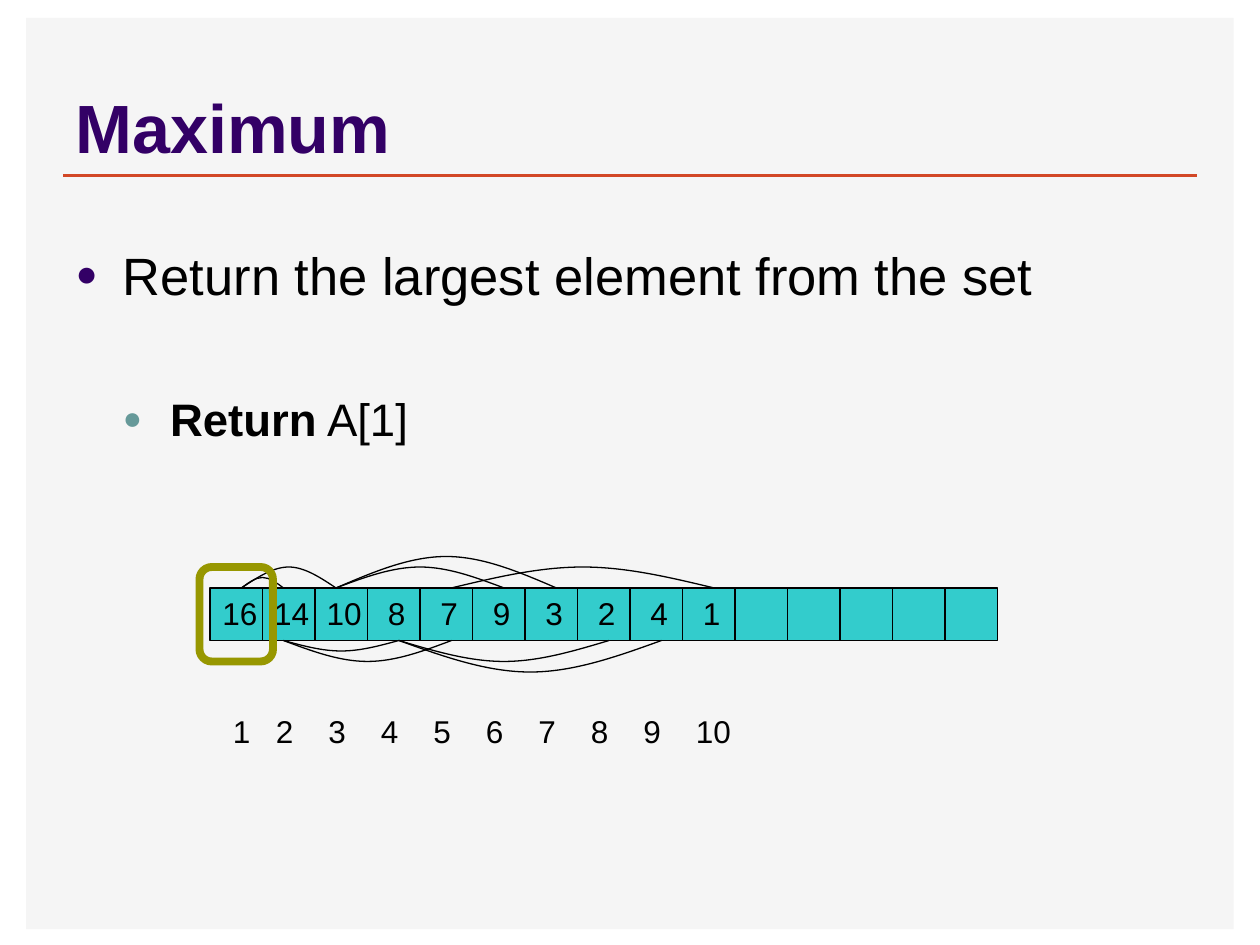
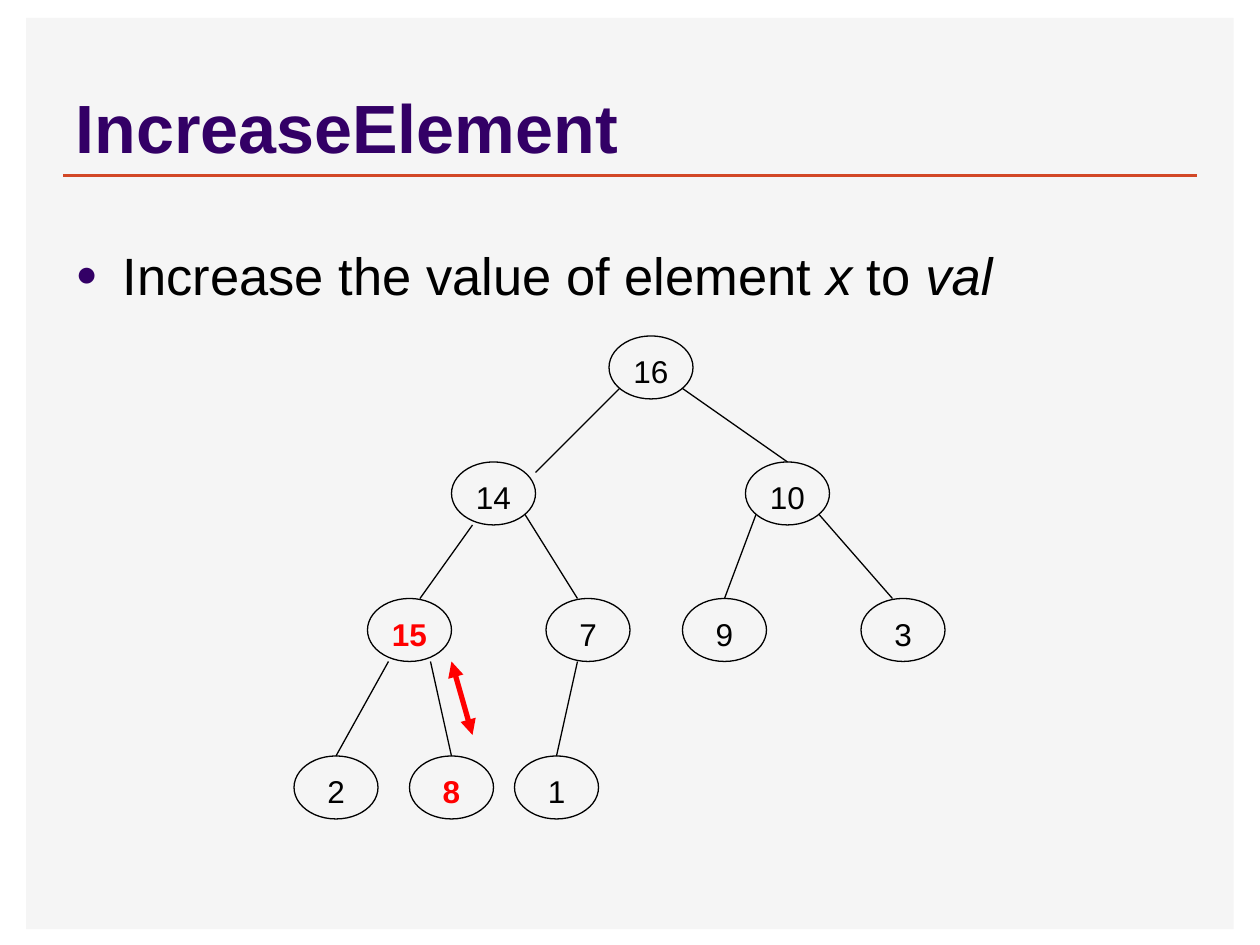
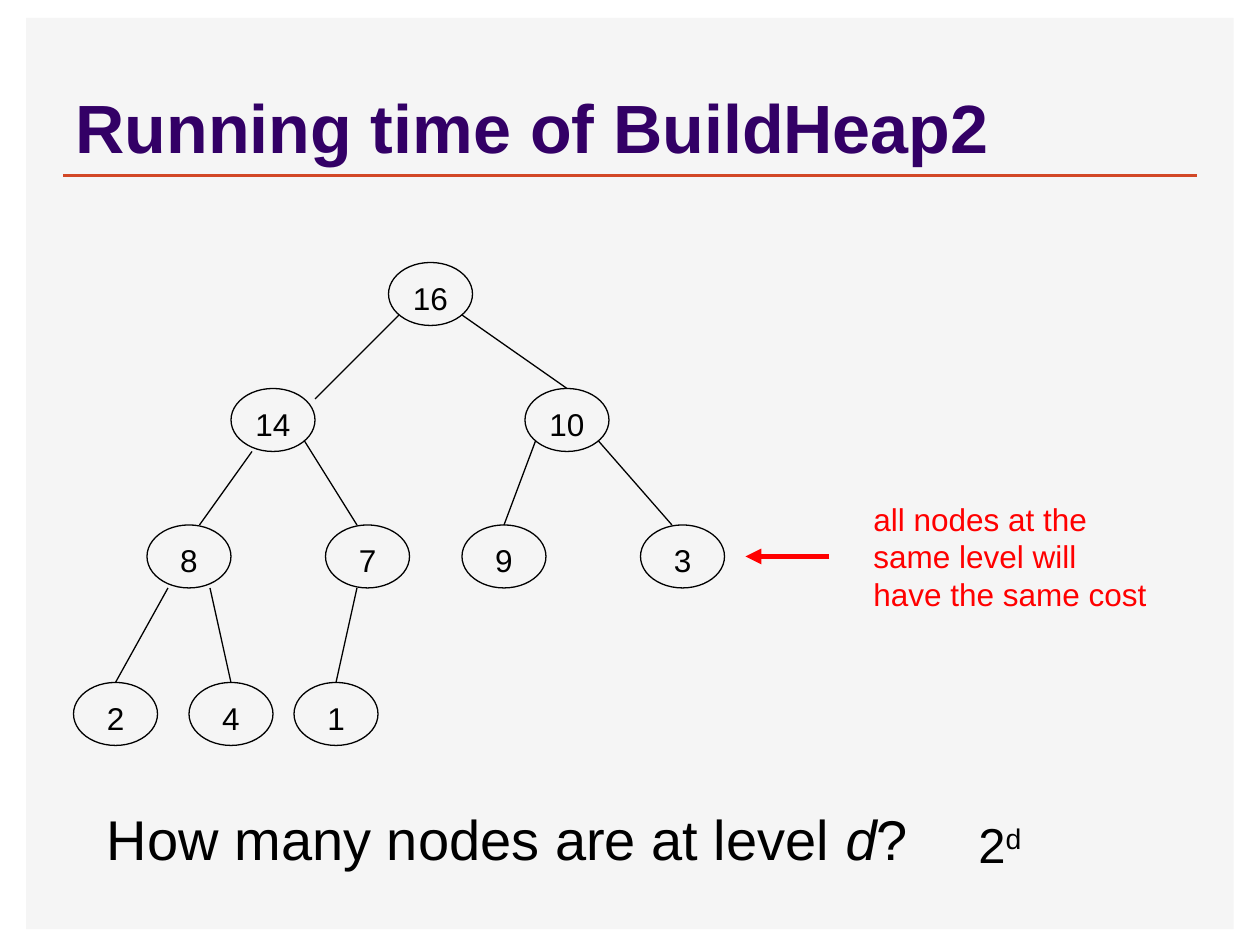
from lxml import etree
from pptx import Presentation
from pptx import util as u
from pptx.dml.color import RGBColor
from pptx.enum import shapes, text
from pptx.oxml.ns import qn

INK, RED, TITLE, RULE, PANEL = "000000", "FF0000", "330066", "D24726", "F5F5F5"
CELL, RING, SUB = "33CCCC", "979700", "669999"
RECT, ROUND, OVAL = (shapes.MSO_SHAPE.RECTANGLE, shapes.MSO_SHAPE.ROUNDED_RECTANGLE,
                     shapes.MSO_SHAPE.OVAL)
rgb = RGBColor.from_string

prs = Presentation()
prs.slide_width, prs.slide_height = u.Inches(10), u.Inches(7.5)
G = prs.slide_width // 120


def grid(*cells):
    return [u.Emu(int(c * G)) for c in cells]


def write(p, runs, size, color=INK, **base):
    for words, own in runs:
        r = p.add_run()
        r.text = words
        values = {"name": "Arial", "size": u.Pt(size), **base, **own}
        for key, value in values.items():
            setattr(r.font, key, value)
        r.font.color.rgb = rgb(color)


plain, italic = {}, {"italic": True}
pages = [
    ("Maximum", 57.8, [
        (0, 0, 30, TITLE, [("Return the largest element from the set", plain)]),
        (1, 49, 26, SUB, [("Return", {"bold": True}), (" A[1]", plain)])]),
    ("IncreaseElement", 7.5, [
        (0, 0, 30, TITLE, [("Increase the value of element ", plain), ("x", italic),
                           (" to ", plain), ("val", italic)])]),
    ("Running time of BuildHeap2", 0, []),
]
slides = []
for title, rows, items in pages:
    s = prs.slides.add_slide(prs.slide_layouts[1 if items else 5])
    slides.append(s)
    sp = s.shapes.title
    sp.left, sp.top, sp.width, sp.height = grid(6, 1.5, 108, 15)
    tf = sp.text_frame
    tf.auto_size = text.MSO_AUTO_SIZE.NONE
    tf.vertical_anchor = text.MSO_ANCHOR.BOTTOM
    p = tf.paragraphs[0]
    p.alignment = text.PP_ALIGN.LEFT
    write(p, [(title, plain)], 39, TITLE, bold=True)
    if not items:
        continue
    sp = s.placeholders[1]
    sp.left, sp.top, sp.width, sp.height = grid(6, 22.5, 108, rows)
    tf = sp.text_frame
    tf.auto_size = text.MSO_AUTO_SIZE.NONE
    for i, (level, space, size, color, runs) in enumerate(items):
        p = tf.add_paragraph() if i else tf.paragraphs[0]
        p.level = level
        p.space_before = u.Pt(space)
        pPr = p._p.get_or_add_pPr()
        indent = int(4.5 * G)
        pPr.set("marL", str(indent * (level + 1)))
        pPr.set("indent", str(-indent))
        clr = etree.SubElement(pPr, qn("a:buClr"))
        etree.SubElement(clr, qn("a:srgbClr"), val=color)
        etree.SubElement(pPr, qn("a:buSzPct"), val="70000")
        etree.SubElement(pPr, qn("a:buChar"), char="●")
        write(p, runs, size)
maximum, increase, running = slides

boxes = [
    (maximum, RECT, (2.5, 1.7, 115, 86.8), PANEL, None, 0, "", INK),
    (maximum, RECT, (20, 56, 75, 5), CELL, INK, 0.75, "", INK),
    (maximum, ROUND, (19, 54, 7, 9), None, RING, 4.5, "", INK),
]
lines = [(maximum, (6, 16.7, 114, 16.7), RULE, 2, [])]
lines += [(maximum, (x, 56, x, 61), INK, 0.75, []) for x in range(25, 95, 5)]

places = [(0, 0), (-15, 12), (13, 12), (-23, 25), (-6, 25), (7, 25), (24, 25),
          (-30, 40), (-19, 40), (-9, 40)]
edges = [(1, 5, -7, 13), (7, 5, 17, 12), (-13, 18, -18, 25), (-8, 17, -3, 25),
         (14, 17, 11, 25), (20, 17, 27, 25), (-21, 31, -26, 40), (-17, 31, -15, 40),
         (-3, 31, -5, 40)]
trees = [(increase, 58, 32, "16 14 10 15 7 9 3 2 8 1", ("15", "8")),
         (running, 37, 25, "16 14 10 8 7 9 3 2 4 1", ())]
for s, x, y, labels, swapped in trees:
    for (dx, dy), label in zip(places, labels.split()):
        color = RED if label in swapped else INK
        boxes.append((s, OVAL, (x + dx, y + dy, 8, 6), None, INK, 0.75, label, color))
    for x1, y1, x2, y2 in edges:
        lines.append((s, (x + x1, y + y1, x + x2, y + y2), INK, 0.75, []))
lines += [(increase, (45, 70, 43, 63), RED, 3, ["a:headEnd", "a:tailEnd"]),
          (running, (79, 53, 71, 53), RED, 3, ["a:tailEnd"])]

drawn = []
for s, kind, at, fill, line, width, label, color in boxes:
    sp = s.shapes.add_shape(kind, *grid(*at))
    drawn.append(sp)
    sp.shadow.inherit = False
    if fill:
        sp.fill.solid()
        sp.fill.fore_color.rgb = rgb(fill)
    else:
        sp.fill.background()
    if line:
        sp.line.color.rgb = rgb(line)
        sp.line.width = u.Pt(width)
    else:
        sp.line.fill.background()
    if label:
        tf = sp.text_frame
        layout = {"margin_left": 0, "margin_right": 0, "margin_bottom": 0,
                  "margin_top": grid(0.7)[0], "vertical_anchor": text.MSO_ANCHOR.TOP}
        for key, value in layout.items():
            setattr(tf, key, value)
        p = tf.paragraphs[0]
        p.alignment = text.PP_ALIGN.CENTER
        write(p, [(label, plain)], 18, color, bold=color == RED)
panel, array, ring = drawn[:3]

strokes = []
for s, at, color, width, ends in lines:
    cn = s.shapes.add_connector(shapes.MSO_CONNECTOR.STRAIGHT, *grid(*at))
    strokes.append(cn)
    cn.line.color.rgb = rgb(color)
    cn.line.width = u.Pt(width)
    spPr = cn.element.spPr
    for end in ends:
        etree.SubElement(spPr.find(qn("a:ln")), qn(end), type="triangle")
    etree.SubElement(spPr, qn("a:effectLst"))

for i, sp in enumerate((strokes[0], panel)):
    sp.element.xpath(".//p:cNvPr")[0].set("id", str(20 + i))
    prs.slide_master.shapes.element.insert(2, sp.element)

columns = [23, 27, 32, 38, 43, 48, 53, 58, 63, 68]
rises = {2: 1, 3: 2, 4: -1, 5: -2, 6: 2, 7: 3, 8: -2, 9: -3, 10: 2}
for child, rise in rises.items():
    x1, x2 = columns[child // 2 - 1], columns[child - 1]
    y = 56 if rise > 0 else 61
    points = [grid(x1 + (x2 - x1) * i / 6, y - rise * share)
              for i, share in enumerate((0, 0.5, 1, 1, 1, 0.5, 0))]
    fb = maximum.shapes.build_freeform(*points[0])
    fb.add_line_segments(points[1:], close=False)
    sp = fb.convert_to_shape()
    sp.shadow.inherit = False
    sp.fill.background()
    sp.line.color.rgb = rgb(INK)
    sp.line.width = u.Pt(0.75)
    curve = sp.element.xpath(".//a:path")[0]
    segments = curve.findall(qn("a:lnTo"))
    for i in (0, 3):
        bezier = etree.SubElement(curve, qn("a:cubicBezTo"))
        for segment in segments[i:i + 3]:
            bezier.append(segment[0])
            curve.remove(segment)

values = "\t".join("16 14 10 8 7 9 3 2 4 1".split())
indexes = "\t".join(str(i) for i in range(1, 11))
notes = [
    (maximum, (20, 56, 74, 4.8), [(values, plain)], 18, INK, ("ctr", 1.6)),
    (maximum, (21, 67.2, 74, 4.8), [(indexes, plain)], 18, INK, ("l", -0.9)),
    (running, (82, 47, 29, 12), [("all nodes at the same level will have the same cost", plain)],
     18, RED, None),
    (running, (9, 76, 86, 7.5), [("How many nodes are at level ", plain), ("d", italic),
                                 ("?", plain)], 32, INK, None),
    (running, (92, 77, 18, 6.8), [("2", plain), ("d", plain)], 28, INK, None),
]
for s, at, runs, size, color, tabs in notes:
    sp = s.shapes.add_textbox(*grid(*at))
    tf = sp.text_frame
    tf.word_wrap = True
    p = tf.paragraphs[0]
    if tabs:
        align, start = tabs
        stops = etree.SubElement(p._p.get_or_add_pPr(), qn("a:tabLst"))
        for i in range(1, 10):
            etree.SubElement(stops, qn("a:tab"), pos=str(grid(start + 5 * i)[0]), algn=align)
    write(p, runs, size, color)
p.runs[1]._r.get_or_add_rPr().set("baseline", "30000")
maximum.shapes.element.append(ring.element)

prs.save("out.pptx")
